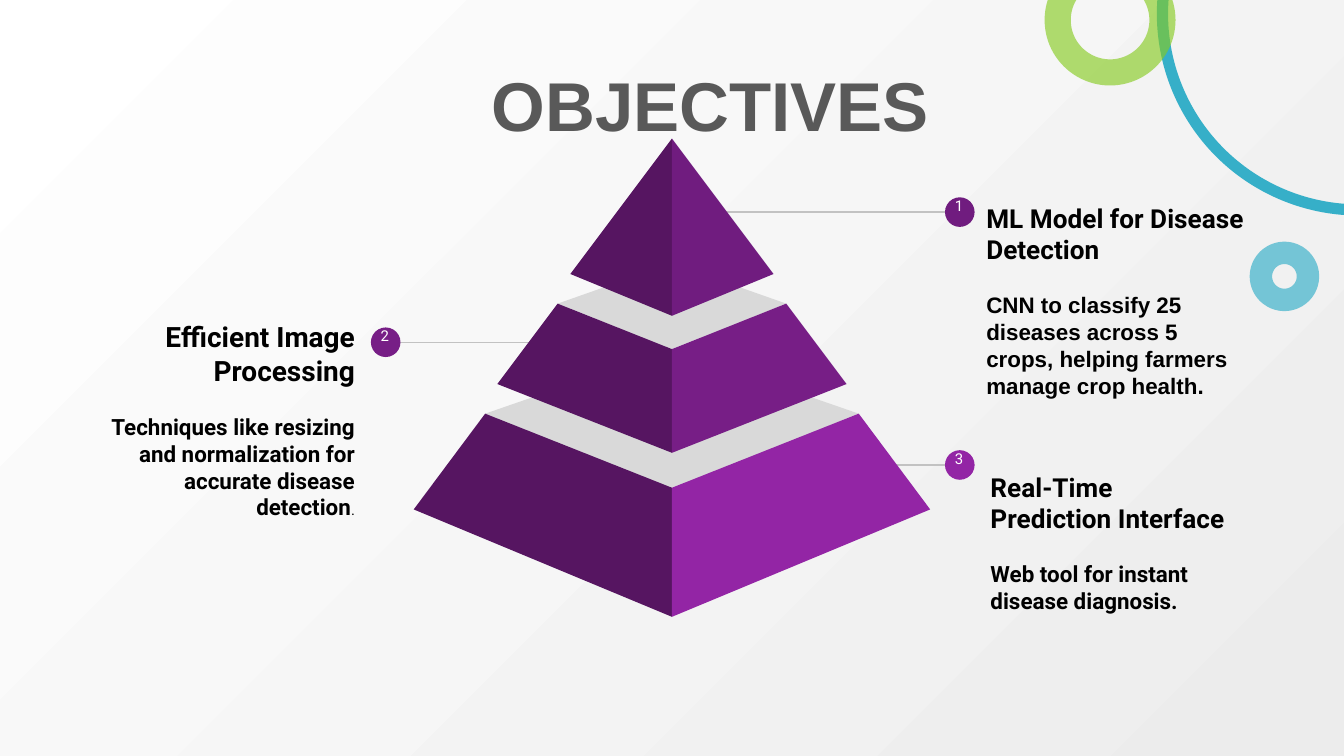
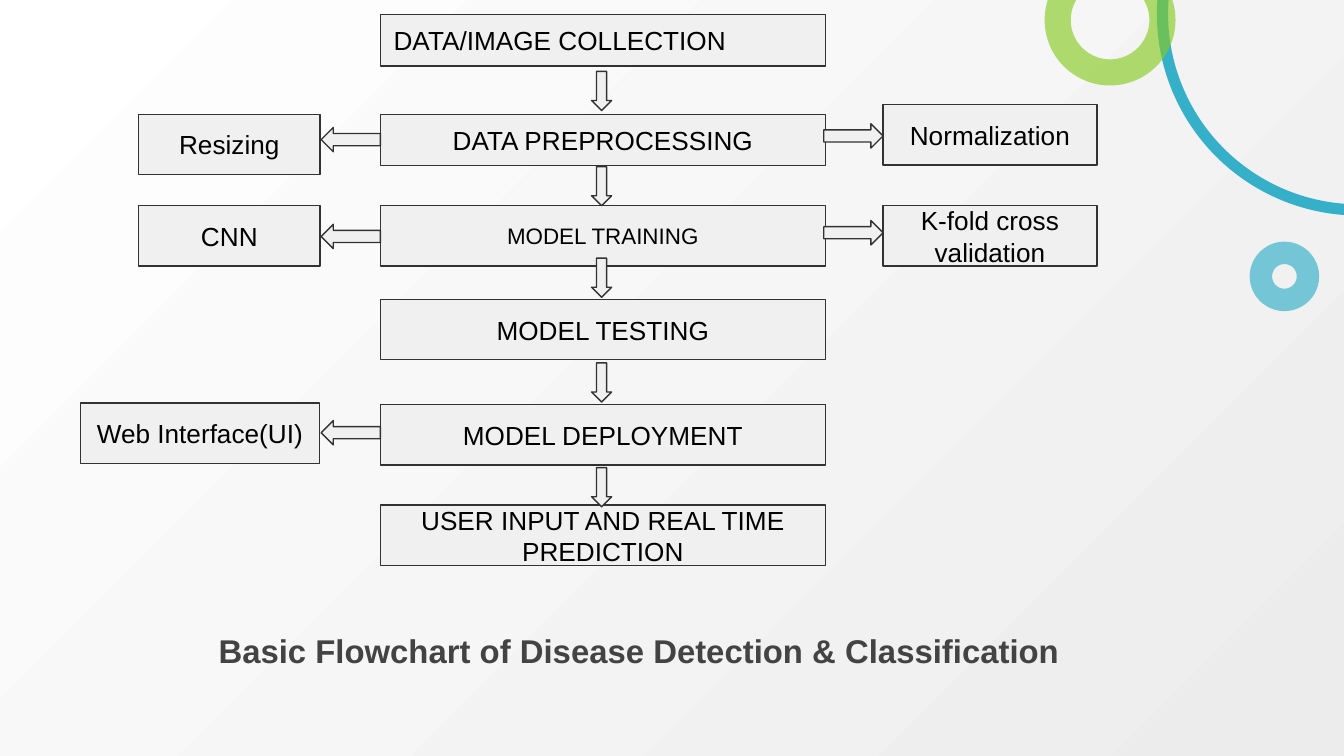
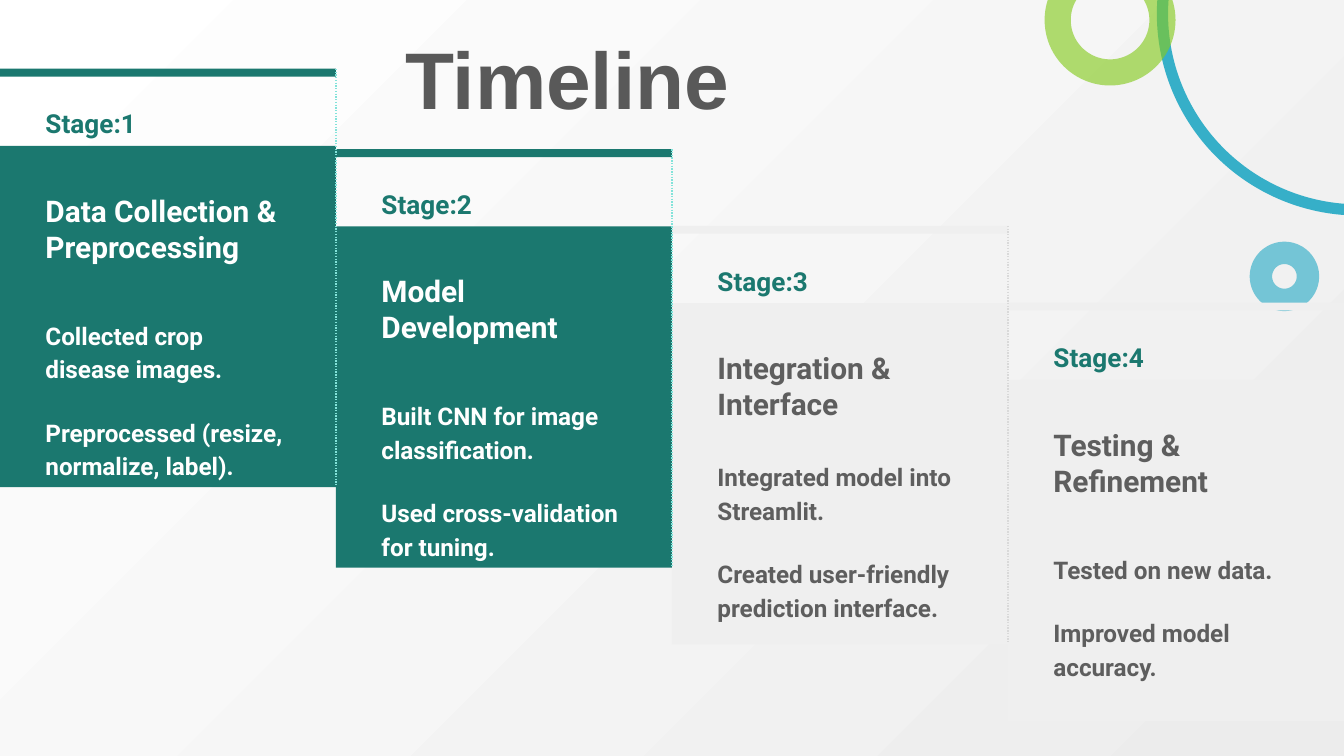
"""Build three slides on crop disease detection: objectives, flowchart and timeline."""
from lxml.etree import SubElement
from pptx import Presentation
from pptx.dml.color import RGBColor
from pptx.enum.dml import MSO_LINE
from pptx.enum.shapes import MSO_CONNECTOR, MSO_SHAPE
from pptx.enum.text import MSO_ANCHOR, PP_ALIGN
from pptx.oxml.ns import qn
from pptx.util import Cm, Pt

rgb = RGBColor.from_string
TITLE, BLACK, WHITE = "595959", "000000", "FFFFFF"
PURPLE, VIOLET, MAGENTA, DARK = "701C7F", "771E86", "9325A5", "561561"
GREY, BOX, INK = "D9D9D9", "F0F0F0", "323232"
TEAL, PALE, SLATE, MINT = "1B786F", "EFEFEF", "5E5E5E", "83E3DA"
CYAN, GREEN = "22A8C4", "86CB21"


def draw(s, kind, box, fill=None, line=None, width=0.75):
    sp = s.shapes.add_shape(kind, *map(Cm, box))
    sp.shadow.inherit = False
    if fill:
        sp.fill.solid()
        sp.fill.fore_color.rgb = rgb(fill)
    else:
        sp.fill.background()
    if line:
        sp.line.color.rgb = rgb(line)
        sp.line.width = Pt(width)
    else:
        sp.line.fill.background()
    return sp


def write(sp, texts, size, color, font="Roboto", bold=False, align=PP_ALIGN.LEFT,
          anchor=MSO_ANCHOR.TOP, spacing=None, before=0, margin=0.25):
    tf = sp.text_frame
    tf.word_wrap = True
    tf.vertical_anchor = anchor
    tf.margin_left = tf.margin_right = Cm(0.25)
    tf.margin_top = tf.margin_bottom = Cm(margin)
    for i, text in enumerate(texts):
        p = tf.add_paragraph() if i else tf.paragraphs[0]
        p.text = text
        p.alignment = align
        p.line_spacing = spacing
        if i:
            p.space_before = Pt(before)
        f = p.runs[0].font
        f.name, f.size, f.bold = font, Pt(size), bold
        f.color.rgb = rgb(color)
    return tf


prs = Presentation()
prs.slide_width, prs.slide_height = Cm(25.4), Cm(14.29)
layout = prs.slide_layouts[6]
for ph in list(layout.placeholders):
    ph.element.getparent().remove(ph.element)

fill = prs.slide_master.background.fill
fill.gradient()
for stop, color in zip(fill.gradient_stops, (WHITE, "ECECEC")):
    stop.color.rgb = rgb(color)
grad = prs.slide_master.element.find(".//" + qn("a:gradFill"))
grad.remove(grad.find(qn("a:lin")))
SubElement(SubElement(grad, qn("a:path"), path="circle"), qn("a:fillToRect"), r="100000", b="100000")

objectives, flowchart, timeline = [prs.slides.add_slide(layout) for _ in range(3)]

rings = []
for kind, box, color, width, alpha, angles in [
    (MSO_SHAPE.ARC, (21.97, -3.45, 7.42, 7.42), CYAN, 6, 89, (56.01, 111.67)),
    (MSO_SHAPE.OVAL, (23.83, 4.78, 0.89, 0.89), CYAN, 12, 60, ()),
    (MSO_SHAPE.ARC, (19.99, -0.61, 1.98, 1.98), GREEN, 14, 64, (196.99, 128.89)),
]:
    sp = draw(objectives, kind, box, line=color, width=width)
    for i, angle in enumerate(angles):
        sp.adjustments[i] = angle
    clr = sp.element.spPr.find(".//" + qn("a:srgbClr"))
    SubElement(clr, qn("a:alpha"), val=str(alpha * 1000))
    rings.append(sp)
for sp in rings:
    layout.shapes.element.append(sp.element)

for s, text, box, size, color, spacing, margin in [
    (objectives, "OBJECTIVES", (0, 0.91, 25.4, 3.07), 37, TITLE, None, 0.27),
    (flowchart, "Basic Flowchart of Disease Detection & Classification",
     (0.2, 11.61, 23.77, 1.35), 17.6, "434343", 1.15, 0.2),
    (timeline, "Timeline", (1.32, 0, 18.8, 3.07), 43, TITLE, 1.15, 0.29),
]:
    sp = s.shapes.add_textbox(*map(Cm, box))
    tf = write(sp, [text], size, color, "Arial", True, PP_ALIGN.CENTER, spacing=spacing, margin=margin)
    if s is objectives:
        tf.margin_left = Cm(1.7)

s = objectives
for number, head, body, box, size, font, align, badge_x, badge_y, face_x, color in [
    ("3", "Real-Time Prediction Interface", "Web tool for instant disease diagnosis.",
     (18.47, 8.33, 5.18, 3.84), 14, "Roboto", PP_ALIGN.LEFT, 17.86, 8.51, 16.76, MAGENTA),
    ("2", "Efficient Image Processing",
     "Techniques like resizing and normalization for accurate disease detection",
     (1.78, 6.02, 5.18, 3.84), 15, "Roboto", PP_ALIGN.RIGHT, 7.01, 6.19, 10.08, VIOLET),
    ("1", "ML Model for Disease Detection",
     "CNN to classify 25 diseases across 5 crops, helping farmers manage crop health.",
     (18.39, 3.56, 5.38, 4.24), 14, "Arial", PP_ALIGN.LEFT, 17.86, 3.73, 13.64, PURPLE),
]:
    y = Cm(badge_y + 0.28)
    line = s.shapes.add_connector(MSO_CONNECTOR.STRAIGHT, Cm(face_x), y, Cm(badge_x + 0.28), y)
    line.line.color.rgb = rgb("C2C2C2")
    line.line.width = Pt(0.75)
    tf = write(s.shapes.add_textbox(*map(Cm, box)), [head, body], size, BLACK, bold=True,
               align=align, anchor=MSO_ANCHOR.MIDDLE, before=14)
    p = tf.paragraphs[1]
    p.runs[0].font.size, p.runs[0].font.name = Pt(12), font
    if number == "2":
        r = p.add_run()
        r.text = "."
        r.font.name, r.font.size = "Roboto", Pt(8)
        r.font.color.rgb = rgb(BLACK)
    draw(s, MSO_SHAPE.OVAL, (badge_x, badge_y, 0.56, 0.56), color)
    sp = s.shapes.add_textbox(Cm(badge_x - 0.08), Cm(badge_y - 0.18), Cm(0.69), Cm(0.86))
    write(sp, [number], 8, WHITE, align=PP_ALIGN.CENTER)

for color, lid, face in [
    (MAGENTA, [(-3.53, 7.82), (0, 9.25), (3.53, 7.82), (0, 6.6)],
     [(3.53, 7.82), (4.88, 9.63), (0, 11.66), (0, 9.22)]),
    (VIOLET, [(-2.16, 5.74), (0, 6.6), (2.16, 5.74), (0, 4.98)],
     [(2.16, 5.74), (0, 6.6), (0, 8.56), (3.3, 7.26)]),
    (PURPLE, [], [(0, 2.62), (1.92, 5.18), (0, 5.97)]),
]:
    for outline, side, tint in [(lid, 1, GREY), (face, -1, DARK), (face, 1, color)]:
        if not outline:
            continue
        points = [(Cm(12.7 + side * x), Cm(y)) for x, y in outline]
        fb = s.shapes.build_freeform(*points[0])
        fb.add_line_segments(points[1:])
        sp = fb.convert_to_shape()
        sp.shadow.inherit = False
        sp.fill.solid()
        sp.fill.fore_color.rgb = rgb(tint)
        sp.line.fill.background()

s = flowchart
steps = [
    ("DATA/IMAGE COLLECTION", 0.28, 0.97), ("DATA PREPROCESSING", 2.16, 0.97),
    ("MODEL TRAINING", 3.89, 1.14), ("MODEL TESTING", 5.66, 1.14),
    ("MODEL DEPLOYMENT", 7.65, 1.14), ("USER INPUT AND REAL TIME PREDICTION", 9.55, 1.14),
]
for text, y, h in steps:
    sp = draw(s, MSO_SHAPE.RECTANGLE, (7.19, y, 8.41, h), BOX, INK)
    write(sp, [text], 12 if text == "MODEL TRAINING" else 14, BLACK, "Arial",
          align=PP_ALIGN.LEFT if text == steps[0][0] else PP_ALIGN.CENTER, anchor=MSO_ANCHOR.MIDDLE)
for y in (1.35, 3.15, 4.88, 6.86, 8.84):
    draw(s, MSO_SHAPE.DOWN_ARROW, (11.18, y, 0.38, 0.74), BOX, INK)
for kind, x, ys in [(MSO_SHAPE.LEFT_ARROW, 6.07, (2.41, 4.24, 7.95)),
                    (MSO_SHAPE.RIGHT_ARROW, 15.57, (2.34, 4.17))]:
    for y in ys:
        draw(s, kind, (x, y, 1.12, 0.46), BOX, INK)
for text, x, y, w in [
    ("Resizing", 2.62, 2.16, 3.43), ("Web Interface(UI)", 1.52, 7.62, 4.52),
    ("CNN", 2.62, 3.89, 3.43), ("K-fold cross validation", 16.69, 3.89, 4.04),
    ("Normalization", 16.69, 1.98, 4.04),
]:
    sp = draw(s, MSO_SHAPE.FLOWCHART_PROCESS, (x, y, w, 1.14), BOX, INK)
    write(sp, [text], 14, BLACK, "Arial", align=PP_ALIGN.CENTER, anchor=MSO_ANCHOR.MIDDLE)

s = timeline
stages = [
    (1.3, 4.44, "Data Collection & Preprocessing", TEAL, WHITE, MINT,
     ["Collected crop disease images.", "Preprocessed (resize, normalize, label)."]),
    (2.82, 4.44, "Model Development", TEAL, WHITE, MINT,
     ["Built CNN for image classification.", "Used cross-validation for tuning."]),
    (4.27, 4.14, "Integration & Interface", PALE, SLATE, GREY,
     ["Integrated model into Streamlit.", "Created user-friendly prediction interface."]),
    (5.72, 4.44, "Testing & Refinement", PALE, SLATE, None,
     ["Tested on new data.", "Improved model accuracy."]),
]
w = 6.35
for i, (y, body_y, head, color, ink, dots, body) in reversed(list(enumerate(stages))):
    x = i * w
    draw(s, MSO_SHAPE.RECTANGLE, (x, y + 1.46, w, 6.45), color)
    draw(s, MSO_SHAPE.RECTANGLE, (x, y, w, 0.15), color)
    for texts, top, width, height, size, tint, spacing in [
        ([f"Stage:{i + 1}"], 0.4, 2.41, 0.71, 14, TEAL, 1.15),
        ([head], 2.09, 5.16, 2.21, 16, ink, None),
        (body, body_y, 5.16, 2.77, 13, ink, 1.15),
    ]:
        sp = s.shapes.add_textbox(Cm(x + 0.61), Cm(y + top), Cm(width), Cm(height))
        write(sp, texts, size, tint, bold=True, spacing=spacing, before=16)
    if dots:
        line = s.shapes.add_connector(MSO_CONNECTOR.STRAIGHT, Cm(x + w), Cm(y), Cm(x + w), Cm(y + 7.87))
        line.line.color.rgb = rgb(dots)
        line.line.width = Pt(0.75)
        line.line.dash_style = MSO_LINE.ROUND_DOT

for s in (objectives, timeline):
    for sp in s.shapes:
        if sp.element.tag == qn("p:cxnSp"):
            SubElement(sp.element.spPr, qn("a:effectLst"))

prs.save("out.pptx")
